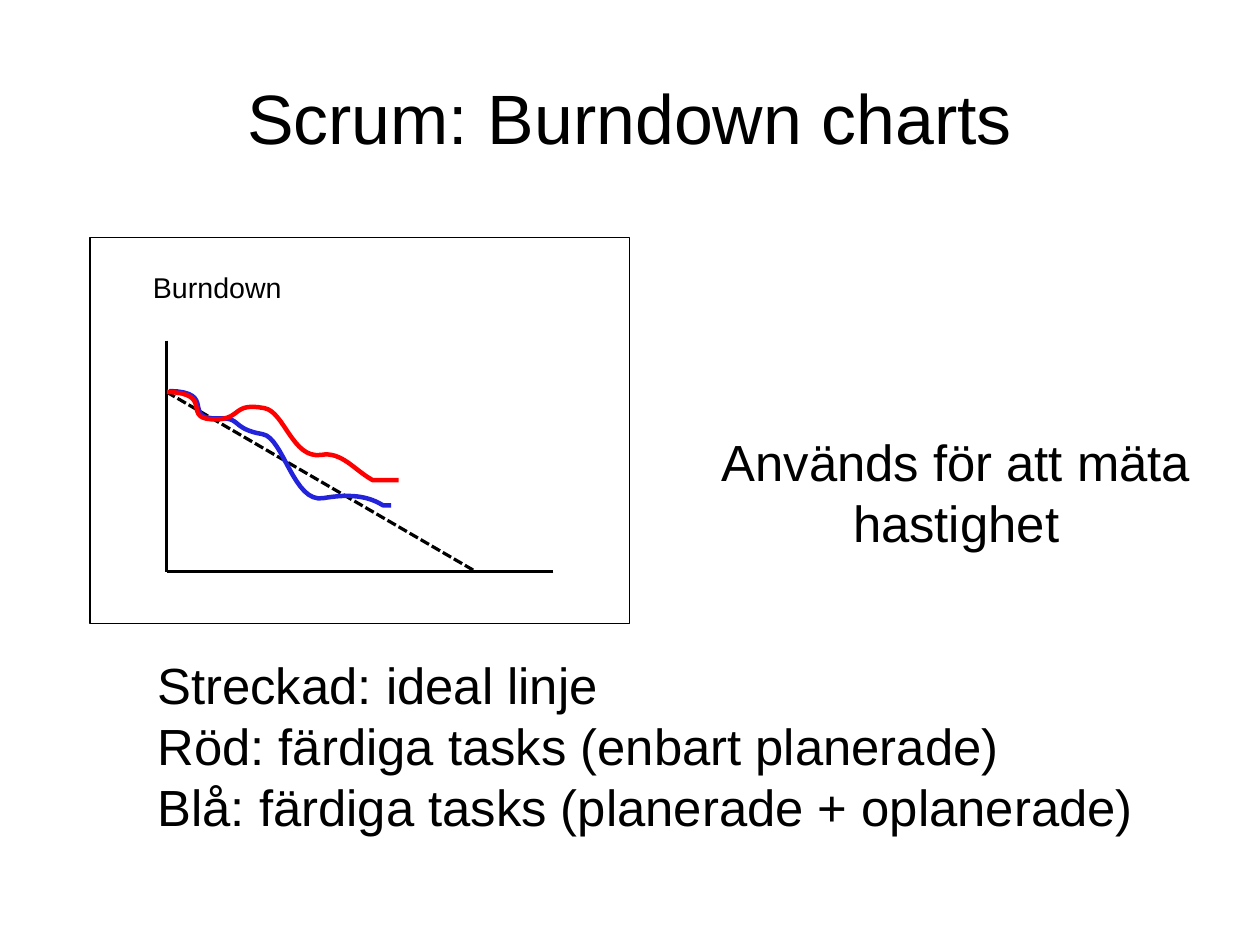
"""Build a slide that explains Scrum burndown charts."""
import dataclasses
import typing

import lxml.etree
import pptx
import pptx.dml.color
import pptx.enum.dml
import pptx.enum.shapes
import pptx.enum.text
import pptx.oxml.ns
import pptx.util

Cm = pptx.util.Cm
Align = pptx.enum.text.PP_ALIGN
Anchor = pptx.enum.text.MSO_ANCHOR
Point = tuple[float, float]

FONT = "Arial"
COLORS = {"ink": "000000", "paper": "FFFFFF", "blue": "2323DC", "red": "FF0000"}
STEPS = 16
LEFT, TOP, RIGHT, BASE = 3.7, 7.57, 12.3, 12.7


@dataclasses.dataclass
class Line:
    start: Point
    end: Point
    dashed: bool = False


@dataclasses.dataclass
class Curve:
    color: str
    start: Point
    bends: list[tuple[Point, Point, Point]]
    end: Point


LINES = [
    Line((LEFT, TOP), (LEFT, BASE)),
    Line((RIGHT, BASE), (LEFT, BASE)),
    Line((LEFT, 8.71), (10.57, BASE), dashed=True),
]
CURVES = [
    Curve("blue", (3.76, 8.69), [
        ((4.85, 8.71), (4.01, 9.32), (4.85, 9.3)),
        ((5.38, 9.27), (5.13, 9.53), (5.84, 9.65)),
        ((6.3, 9.73), (6.53, 11.2), (7.19, 11.07)),
        ((7.62, 11), (8.1, 10.97), (8.51, 11.23)),
    ], (8.69, 11.23)),
    Curve("red", (3.71, 8.71), [
        ((4.83, 8.74), (3.96, 9.35), (4.83, 9.32)),
        ((5.36, 9.3), (5.18, 8.94), (5.87, 9.07)),
        ((6.32, 9.14), (6.5, 10.21), (7.14, 10.11)),
        ((7.59, 10.03), (7.87, 10.44), (8.28, 10.67)),
    ], (8.86, 10.67)),
]


def tint(name: str) -> pptx.dml.color.RGBColor:
    """Return the named colour."""
    return pptx.dml.color.RGBColor.from_string(COLORS[name])


def write(shape: typing.Any, text: str, *, box: tuple[float, float, float, float],
          size: int = 32, align: Align = Align.LEFT, anchor: Anchor = Anchor.MIDDLE,
          inset: Point = (0, 0)) -> None:
    """Place a shape and fill it with formatted text."""
    shape.left, shape.top, shape.width, shape.height = map(Cm, box)
    frame = shape.text_frame
    frame.text = text
    frame.word_wrap = True
    frame.auto_size = pptx.enum.text.MSO_AUTO_SIZE.NONE
    frame.vertical_anchor = anchor
    frame.margin_left = frame.margin_right = Cm(inset[0])
    frame.margin_top = frame.margin_bottom = Cm(inset[1])
    for para in frame.paragraphs:
        para.alignment = align
        para.space_before = para.space_after = pptx.util.Pt(0)
        para.line_spacing = 1.0
        for run in para.runs:
            run.font.name = FONT
            run.font.size = pptx.util.Pt(size)
            run.font.color.rgb = tint("ink")


def stroke(shape: typing.Any, color: str = "ink", width: float = 0) -> None:
    """Set the outline of a shape."""
    shape.line.color.rgb = tint(color)
    shape.line.width = pptx.util.Pt(width)


def rule(shapes: typing.Any, line: Line) -> None:
    """Draw a straight line."""
    link = shapes.add_connector(pptx.enum.shapes.MSO_CONNECTOR.STRAIGHT,
                                *map(Cm, line.start + line.end))
    stroke(link)
    if line.dashed:
        link.line.dash_style = pptx.enum.dml.MSO_LINE.SQUARE_DOT
    lxml.etree.SubElement(link._element.spPr, pptx.oxml.ns.qn("a:effectLst"))


def trace(curve: Curve) -> list[Point]:
    """Return points along the cubic bends of a curve."""
    points = [curve.start]
    for bend in curve.bends:
        knots = (points[-1], *bend)
        for step in range(1, STEPS + 1):
            t = step / STEPS
            u = 1 - t
            parts = (u ** 3, 3 * u * u * t, 3 * u * t * t, t ** 3)
            x, y = (sum(p * knot[axis] for p, knot in zip(parts, knots))
                    for axis in (0, 1))
            points.append((x, y))
    return points + [curve.end]


def plot(shapes: typing.Any, curve: Curve) -> None:
    """Draw a curve as an open outline."""
    first, *rest = [(Cm(x), Cm(y)) for x, y in trace(curve)]
    pen = shapes.build_freeform(*first)
    pen.add_line_segments(rest, close=False)
    shape = pen.convert_to_shape()
    shape.shadow.inherit = False
    shape.fill.background()
    stroke(shape, curve.color, 2.83)


def main() -> None:
    """Build and save the slide."""
    deck = pptx.Presentation()
    deck.slide_width, deck.slide_height = Cm(28), Cm(21)
    slide = deck.slides.add_slide(deck.slide_layouts[0])
    shapes = slide.shapes
    title, legend = slide.placeholders
    write(title, "Scrum: Burndown charts", box=(1.4, 0.84, 25.2, 3.5),
          size=44, align=Align.CENTER)
    write(legend, "Streckad: ideal linje\n"
          "Röd: färdiga tasks (enbart planerade)\n"
          "Blå: färdiga tasks (planerade + oplanerade)", box=(3.5, 14.5, 23, 4.14))

    panel = shapes.add_shape(pptx.enum.shapes.MSO_SHAPE.RECTANGLE,
                             *map(Cm, (2, 5.28, 12, 8.57)))
    panel.shadow.inherit = False
    panel.fill.solid()
    panel.fill.fore_color.rgb = tint("paper")
    stroke(panel)

    label = shapes.add_textbox(0, 0, 0, 0)
    write(label, "Burndown", box=(3.15, 5.87, 3.81, 1.09), size=18,
          anchor=Anchor.TOP, inset=(0.25, 0.13))
    for line in LINES:
        rule(shapes, line)
    for curve in CURVES:
        plot(shapes, curve)
    aside = shapes.add_textbox(0, 0, 0, 0)
    write(aside, "Används för att mäta\nhastighet", box=(15, 8.86, 12.5, 4.14),
          align=Align.CENTER)
    deck.save("out.pptx")


if __name__ == "__main__":
    main()
